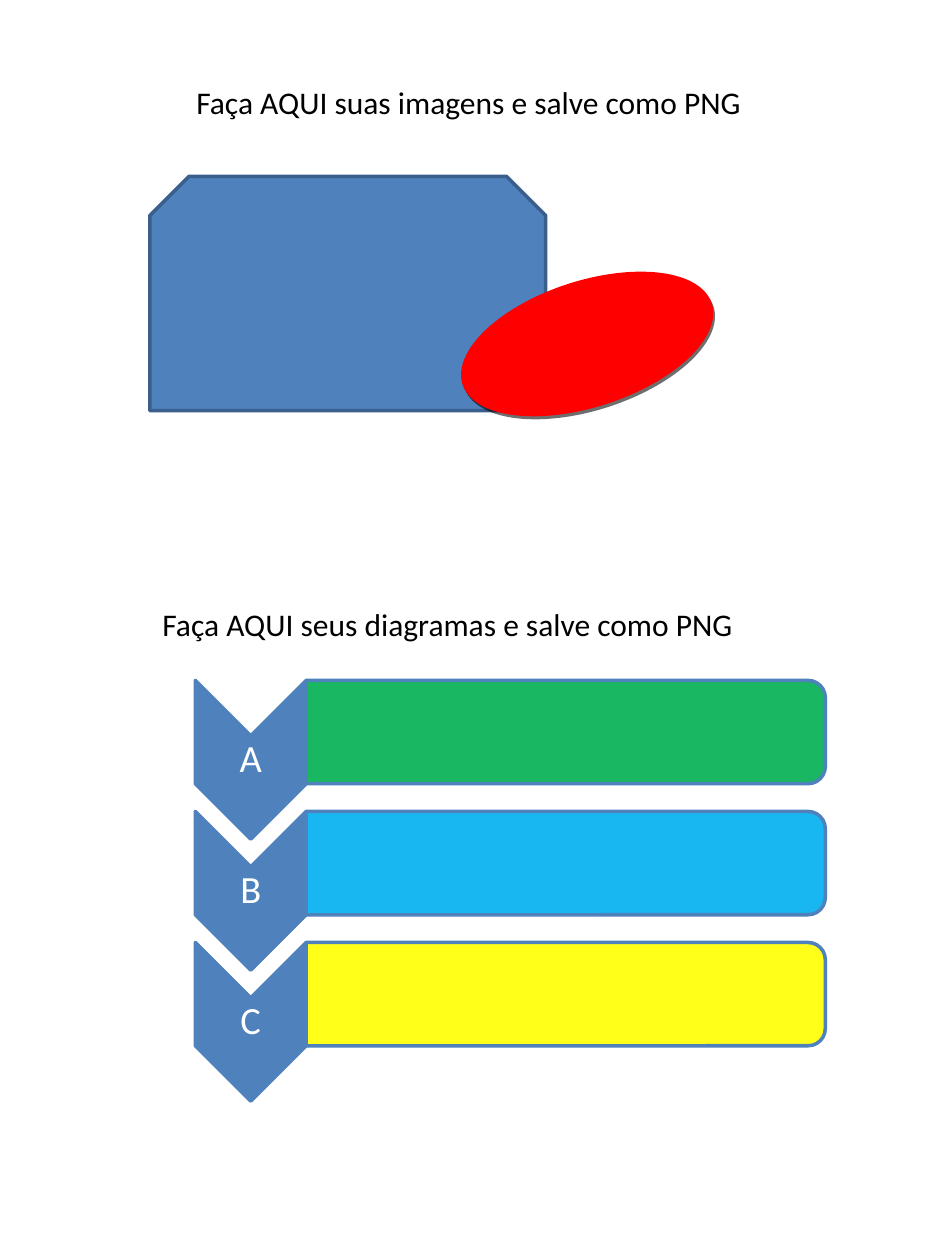
import pptx
import pptx.util
import pptx.dml.color
import pptx.enum.shapes
import pptx.enum.text
import pptx.oxml
import pptx.oxml.ns

Inches = pptx.util.Inches
Pt = pptx.util.Pt
KIND = pptx.enum.shapes.MSO_SHAPE
FONT = "Calibri"
COLORS = {
    "blue": "4F81BD", "edge": "3A5F8C", "red": "FF0000", "black": "000000",
    "white": "FFFFFF", "green": "00B050", "sky": "00B0F0", "yellow": "FFFF00",
}
ROWS = [("A", "green"), ("B", "sky"), ("C", "yellow")]
STEP = 1.04  # distance between diagram rows


def rgb(name):
    return pptx.dml.color.RGBColor.from_string(COLORS[name])


def add_form(shapes, kind, box, fill, line=None, turn=0):
    form = shapes.add_shape(kind, *map(Inches, box))
    form.shadow.inherit = False
    form.rotation = turn
    form.fill.solid()
    form.fill.fore_color.rgb = rgb(fill)
    if line:
        form.line.color.rgb = rgb(line)
        form.line.width = Pt(2)
    else:
        form.line.fill.background()
    return form


def add_words(shapes, box, words, size, color):
    label = shapes.add_textbox(*map(Inches, box))
    run = label.text_frame.paragraphs[0].add_run()
    run.text = words
    run.font.name = FONT
    run.font.size = Pt(size)
    run.font.color.rgb = rgb(color)
    return label


def add_head(shapes, box, words):
    frame = add_words(shapes, box, words, 18, "black").text_frame
    frame.word_wrap = False
    frame.auto_size = pptx.enum.text.MSO_AUTO_SIZE.SHAPE_TO_FIT_TEXT


def add_letter(shapes, box, words):
    frame = add_words(shapes, box, words, 22, "white").text_frame
    frame.word_wrap = True
    frame.vertical_anchor = pptx.enum.text.MSO_ANCHOR.MIDDLE
    frame.margin_left = frame.margin_right = Inches(0.02)
    frame.margin_top = frame.margin_bottom = Inches(0.02)
    para = frame.paragraphs[0]
    para.alignment = pptx.enum.text.PP_ALIGN.CENTER
    para.line_spacing = 0.9
    para.space_after = Pt(7.7)


def set_alpha(form, share):
    tone = form.fill._xPr.find(".//" + pptx.oxml.ns.qn("a:srgbClr"))
    alpha = pptx.oxml.parse_xml(
        f'<a:alpha {pptx.oxml.ns.nsdecls("a")} val="{share * 1000}"/>')
    tone.append(alpha)


def add_shade(form):
    shade = pptx.oxml.parse_xml(
        f'<a:outerShdw {pptx.oxml.ns.nsdecls("a")} blurRad="0" '
        f'dist="{Pt(2)}" dir="3600000" rotWithShape="0">'
        f'<a:srgbClr val="{COLORS["black"]}"><a:alpha val="57000"/></a:srgbClr>'
        '</a:outerShdw>')
    form._element.spPr.find(pptx.oxml.ns.qn("a:effectLst")).append(shade)


def add_row(shapes, top, letter, fill):
    # Upright sizes are turned by 90 degrees about their centres
    add_form(shapes, KIND.CHEVRON, (1.36, top, 1.26, 0.88), "blue", "blue", 90)
    add_letter(shapes, (1.55, top + 0.25, 0.88, 0.38), letter)
    bar = add_form(shapes, KIND.ROUND_2_SAME_RECTANGLE,
                   (4.08, top - 1.84, 0.82, 4.12), fill, "blue", 90)
    set_alpha(bar, 90)


def main():
    deck = pptx.Presentation()
    deck.slide_width, deck.slide_height = Inches(7.5), Inches(10)
    shapes = deck.slides.add_slide(deck.slide_layouts[6]).shapes

    # Headings and drawing
    add_head(shapes, (1.46, 0.61, 4.57, 0.4),
             "Faça AQUI suas imagens e salve como PNG")
    add_form(shapes, KIND.SNIP_2_SAME_RECTANGLE, (1.19, 1.4, 3.14, 1.86),
             "blue", "edge")
    add_head(shapes, (1.19, 4.75, 4.88, 0.4),
             "Faça AQUI seus diagramas e salve como PNG")
    disc = add_form(shapes, KIND.OVAL, (3.62, 2.23, 2.08, 1), "red", turn=-18)
    add_shade(disc)

    # Chevron list
    group = shapes.add_group_shape()
    for i, (letter, fill) in enumerate(ROWS):
        add_row(group.shapes, 5.59 + i * STEP, letter, fill)

    deck.save("out.pptx")


if __name__ == "__main__":
    main()
